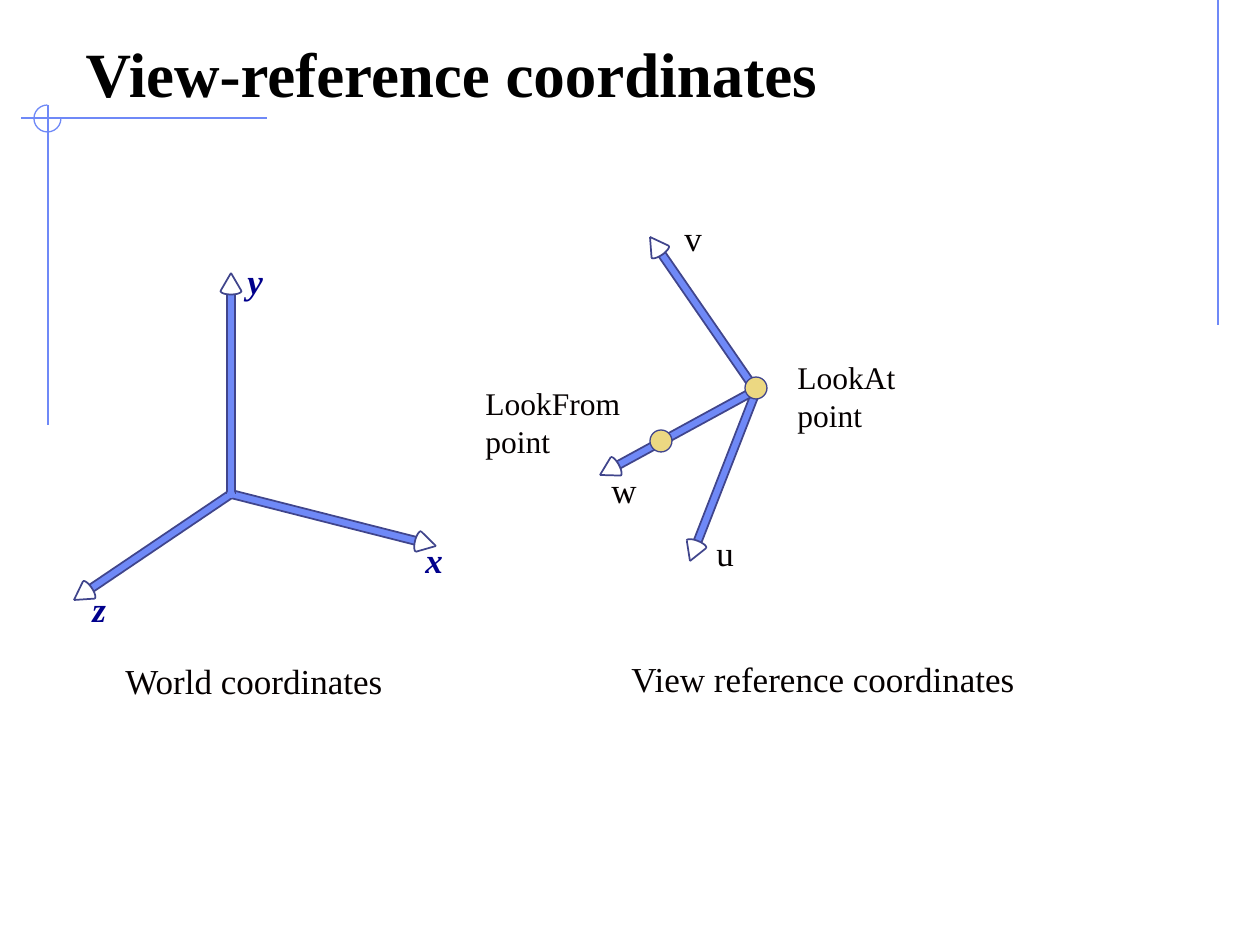
import math
from pptx import Presentation
from pptx.dml.color import RGBColor
from pptx.enum.shapes import MSO_CONNECTOR, MSO_SHAPE
from pptx.enum.text import MSO_ANCHOR, MSO_AUTO_SIZE, PP_ALIGN
from pptx.oxml.ns import qn
from pptx.util import Emu, Pt

STRAIGHT = MSO_CONNECTOR.STRAIGHT
RECT, OVAL, ARC = MSO_SHAPE.RECTANGLE, MSO_SHAPE.OVAL, MSO_SHAPE.ARC
BOTTOM, LEFT = MSO_ANCHOR.BOTTOM, PP_ALIGN.LEFT
NO_FIT, GROW = MSO_AUTO_SIZE.NONE, MSO_AUTO_SIZE.SHAPE_TO_FIT_TEXT

EMU_PER_PX = 914400 / 126
BLUE, EDGE, GOLD, NAVY, INK = "6F89F7", "40458C", "ECD882", "00008C", "050000"
FONT = "Times New Roman"
SHAFT_HALF, HEAD_HALF = 4, 10.5
HEAD_BASE, HEAD_BULGE = 18, 3.5
ARC_STEPS = 16

LABEL = {"size": Pt(20)}
POINT_LABEL = {"size": Pt(18)}
AXIS_LABEL = {"size": Pt(20), "bold": True, "italic": True}
TITLE = {"size": Pt(36), "bold": True}

FRAME_LINES = [
    ((1218, 0), (1218, 325)),
    ((267, 118), (21, 118)),
    ((48, 105), (48, 425)),
]
WORLD_ORIGIN = (231, 494)
AXES = [
    (WORLD_ORIGIN, (74, 600)),
    (WORLD_ORIGIN, (436, 546)),
    (WORLD_ORIGIN, (231, 273)),
    ((757, 392), (650, 237)),
    ((759, 384), (690, 561)),
    ((765, 385), (600, 475)),
]
VIEW_POINTS = [(756, 388), (661, 441)]
LABELS = [
    ("x", (413, 532, 43, 55), AXIS_LABEL, NAVY),
    ("y", (235, 253, 41, 55), AXIS_LABEL, NAVY),
    ("z", (80, 581, 39, 55), AXIS_LABEL, NAVY),
    ("World coordinates", (113, 653, 285, 55), LABEL, INK),
    ("u", (704, 525, 43, 55), LABEL, INK),
    ("w", (599, 462, 50, 55), LABEL, INK),
    ("v", (672, 210, 43, 55), LABEL, INK),
    ("View reference coordinates", (619, 651, 411, 55), LABEL, INK),
    ("LookAt point", (785, 352, 195, 50), POINT_LABEL, INK),
    ("LookFrom point", (473, 378, 232, 50), POINT_LABEL, INK),
]


def px(value):
    return Emu(round(value * EMU_PER_PX))


def rgb(value):
    return RGBColor.from_string(value)


def paint(sp, fill=None, line=None, width=1):
    sp.shadow.inherit = False
    if fill:
        sp.fill.solid()
        sp.fill.fore_color.rgb = rgb(fill)
    else:
        sp.fill.background()
    if line:
        sp.line.color.rgb = rgb(line)
        sp.line.width = Pt(width)
    else:
        sp.line.fill.background()


def add_line(shapes, start, end, color, width):
    cx = shapes.add_connector(STRAIGHT, *map(px, (*start, *end)))
    cx.line.color.rgb = rgb(color)
    cx.line.width = Pt(width)
    props = cx._element.spPr
    props.append(props.makeelement(qn("a:effectLst"), {}))


def add_preset(shapes, kind, box, **look):
    sp = shapes.add_shape(kind, *map(px, box))
    paint(sp, **look)
    return sp


def add_dot(shapes, center, radius, **look):
    x, y = center
    add_preset(shapes, OVAL, (x - radius, y - radius, 2 * radius, 2 * radius), **look)


def write(tf, text, fmt, color):
    p = tf.paragraphs[0]
    p.alignment = LEFT
    r = p.add_run()
    r.text = text
    for name, value in {"name": FONT, **fmt}.items():
        setattr(r.font, name, value)
    r.font.color.rgb = rgb(color)


def add_label(shapes, text, box, fmt, color):
    tf = shapes.add_textbox(*map(px, box)).text_frame
    tf.word_wrap = False
    tf.auto_size = GROW
    write(tf, text, fmt, color)


def add_title(s, text):
    sp = s.shapes.title
    sp.left, sp.top, sp.width, sp.height = map(px, (73, 32, 1112, 84))
    tf = sp.text_frame
    tf.auto_size = NO_FIT
    tf.vertical_anchor = BOTTOM
    write(tf, text, TITLE, "000000")


def add_frame(shapes):
    for start, end in FRAME_LINES:
        add_line(shapes, start, end, BLUE, 0.75)
    ring = add_preset(shapes, ARC, (34, 105, 27, 27), line=BLUE, width=0.75)
    ring.adjustments[0] = 0
    ring.adjustments[1] = 162


def add_axis(shapes, origin, tip):
    group = shapes.add_group_shape().shapes
    angle = math.atan2(tip[1] - origin[1], tip[0] - origin[0])
    cos, sin = math.cos(angle), math.sin(angle)
    length = math.dist(origin, tip) - HEAD_BASE - HEAD_BULGE

    def behind_tip(back, across):
        return tip[0] - back * cos - across * sin, tip[1] - back * sin + across * cos

    def along(distance, across):
        return origin[0] + distance * cos - across * sin, origin[1] + distance * sin + across * cos

    x, y = along(length / 2, 0)
    box = (x - length / 2, y - SHAFT_HALF, length, 2 * SHAFT_HALF)
    add_preset(group, RECT, box, fill=BLUE).rotation = math.degrees(angle)

    turns = [math.pi * i / ARC_STEPS for i in range(ARC_STEPS + 1)]
    curve = [behind_tip(HEAD_BASE + HEAD_BULGE * math.sin(t), HEAD_HALF * math.cos(t))
             for t in turns]
    points = [(px(a), px(b)) for a, b in curve]
    builder = group.build_freeform(*points[0])
    builder.add_line_segments(points[1:], close=False)
    paint(builder.convert_to_shape(), line=EDGE)

    for corner in (curve[0], curve[-1]):
        add_line(group, corner, tip, EDGE, 1)
    for side in (-SHAFT_HALF, SHAFT_HALF):
        add_line(group, along(0, side), along(length, side), EDGE, 1)


def main():
    prs = Presentation()
    prs.slide_width, prs.slide_height = px(1260), px(945)
    s = prs.slides.add_slide(prs.slide_layouts[5])
    add_frame(s.shapes)
    add_title(s, "View-reference coordinates")
    for origin, tip in AXES:
        add_axis(s.shapes, origin, tip)
    add_dot(s.shapes, WORLD_ORIGIN, 4, fill=BLUE)
    for center in VIEW_POINTS:
        add_dot(s.shapes, center, 11, fill=GOLD, line=EDGE, width=0.75)
    for label in LABELS:
        add_label(s.shapes, *label)
    prs.save("out.pptx")


if __name__ == "__main__":
    main()
